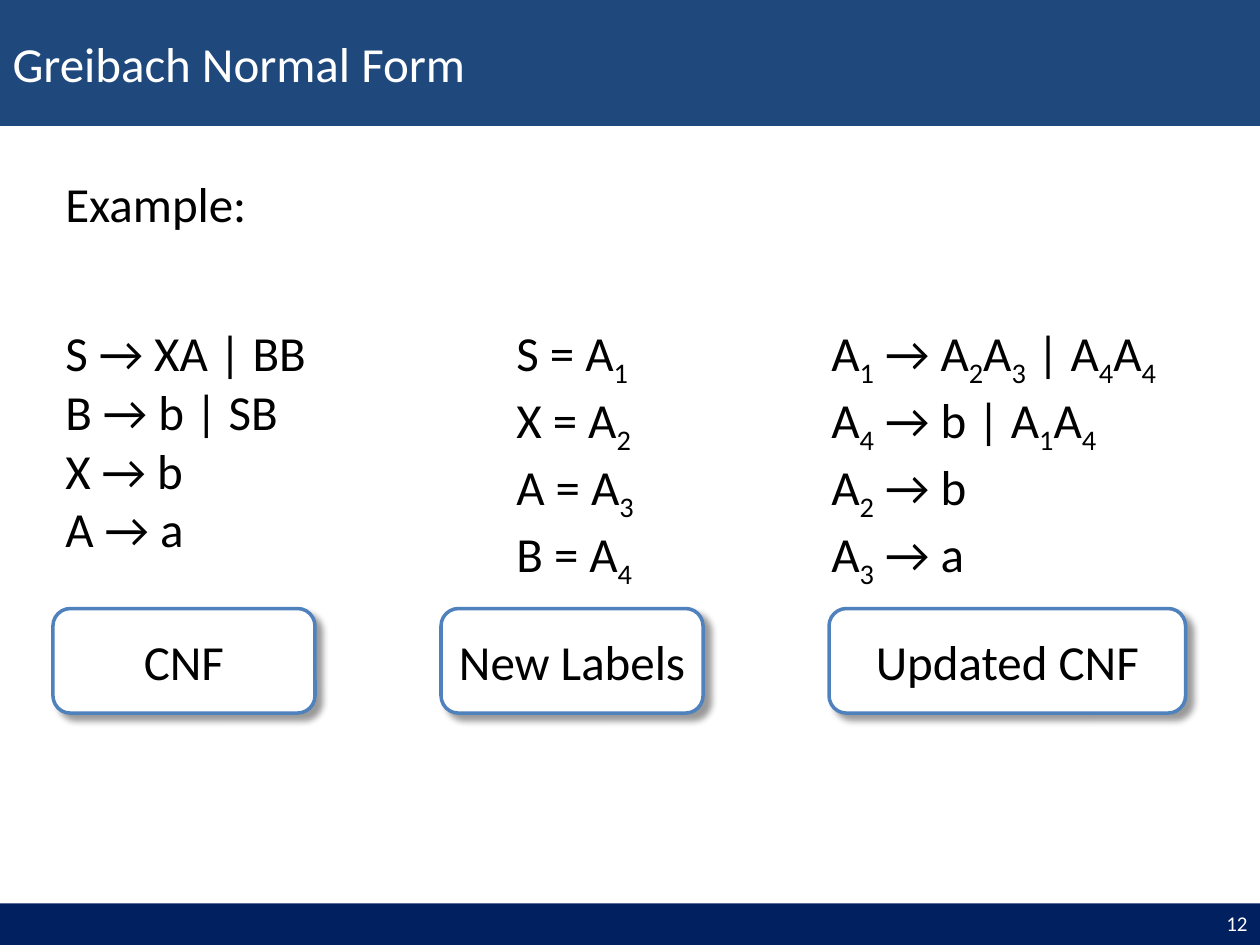
from itertools import groupby

from lxml.etree import SubElement
from pptx import Presentation
from pptx.dml.color import RGBColor
from pptx.enum.shapes import MSO_SHAPE
from pptx.enum.text import MSO_ANCHOR, MSO_AUTO_SIZE, PP_ALIGN
from pptx.oxml.ns import qn
from pptx.util import Inches, Pt

COLORS = {
    "title_bar": "1F497D",
    "footer_bar": "002060",
    "outline": "4F81BD",
    "white": "FFFFFF",
    "black": "000000",
}
FONT = "Calibri"

# Each column: rules, their left and width, label, its left and width
COLUMNS = [
    (["S → XA | BB", "B → b | SB", "X → b", "A → a"], 0.42, 2.33,
     "CNF", 0.42, 2.08),
    (["S = A1", "X = A2", "A = A3", "B = A4"], 4, 1.5,
     "New Labels", 3.5, 2.08),
    (["A1 → A2A3 | A4A4", "A4 → b | A1A4", "A2 → b", "A3 → a"], 6.5, 2.92,
     "Updated CNF", 6.58, 2.83),
]


def rgb(name):
    return RGBColor.from_string(COLORS[name])


def write_text(box, lines, size=28, color="black", align=PP_ALIGN.LEFT,
               anchor=MSO_ANCHOR.TOP, subscripts=False):
    """Fill a box with one paragraph a line; digits may become subscripts."""
    frame = box.text_frame
    frame.word_wrap = True
    frame.auto_size = MSO_AUTO_SIZE.NONE
    frame.vertical_anchor = anchor
    for index, line in enumerate(lines):
        para = frame.paragraphs[0] if index == 0 else frame.add_paragraph()
        para.alignment = align
        pieces = groupby(line, str.isdigit) if subscripts else [(False, line)]
        for is_subscript, letters in pieces:
            span = para.add_run()
            span.text = "".join(letters)
            span.font.size = Pt(size)
            span.font.name = FONT
            span.font.color.rgb = rgb(color)
            if is_subscript:
                span.font._element.set("baseline", "-25000")


def add_text(shapes, lines, left, top, width, height, **text_format):
    box = shapes.add_textbox(Inches(left), Inches(top), Inches(width), Inches(height))
    write_text(box, lines, **text_format)


def add_title(page, text):
    title = page.shapes.title
    title.left, title.top = Inches(0), Inches(0)
    title.width, title.height = Inches(10), Inches(1)
    title.fill.solid()
    title.fill.fore_color.rgb = rgb("title_bar")
    write_text(title, [text], color="white", anchor=MSO_ANCHOR.MIDDLE)


def add_footer(page, number):
    bar = page.shapes.add_shape(MSO_SHAPE.RECTANGLE, Inches(0), Inches(7.17),
                                Inches(10), Inches(0.33))
    bar.shadow.inherit = False
    bar.fill.solid()
    bar.fill.fore_color.rgb = rgb("footer_bar")
    bar.line.fill.background()
    add_text(page.shapes, [number], 7.67, 7.15, 2.33, 0.35, size=12,
             color="white", align=PP_ALIGN.RIGHT, anchor=MSO_ANCHOR.MIDDLE)


def add_soft_shadow(shape):
    shape.shadow.inherit = False
    effects = shape._element.spPr.find(qn("a:effectLst"))
    shadow = SubElement(effects, qn("a:outerShdw"), blurRad=str(Pt(4)),
                        dist=str(Pt(5)), dir=str(45 * 60000),
                        algn="tl", rotWithShape="0")
    color = SubElement(shadow, qn("a:srgbClr"), val=COLORS["black"])
    SubElement(color, qn("a:alpha"), val="40000")


def add_label(shapes, text, left, width):
    label = shapes.add_shape(MSO_SHAPE.ROUNDED_RECTANGLE, Inches(left), Inches(4.83),
                             Inches(width), Inches(0.83))
    label.fill.solid()
    label.fill.fore_color.rgb = rgb("white")
    label.line.color.rgb = rgb("outline")
    label.line.width = Pt(2)
    add_soft_shadow(label)
    write_text(label, [text], align=PP_ALIGN.CENTER, anchor=MSO_ANCHOR.MIDDLE)


def add_column(page, rules, rules_left, rules_width, label, label_left, label_width):
    shapes = page.shapes.add_group_shape().shapes
    add_text(shapes, rules, rules_left, 2.51, rules_width, 1.99, subscripts=True)
    add_label(shapes, label, label_left, label_width)


def main():
    deck = Presentation()
    deck.slide_width, deck.slide_height = Inches(10), Inches(7.5)
    page = deck.slides.add_slide(deck.slide_layouts[5])
    add_title(page, "Greibach Normal Form")
    add_footer(page, "12")
    add_text(page.shapes, ["Example:"], 0.42, 1.33, 8.33, 0.57)
    for column in COLUMNS:
        add_column(page, *column)
    deck.save("out.pptx")


if __name__ == "__main__":
    main()
